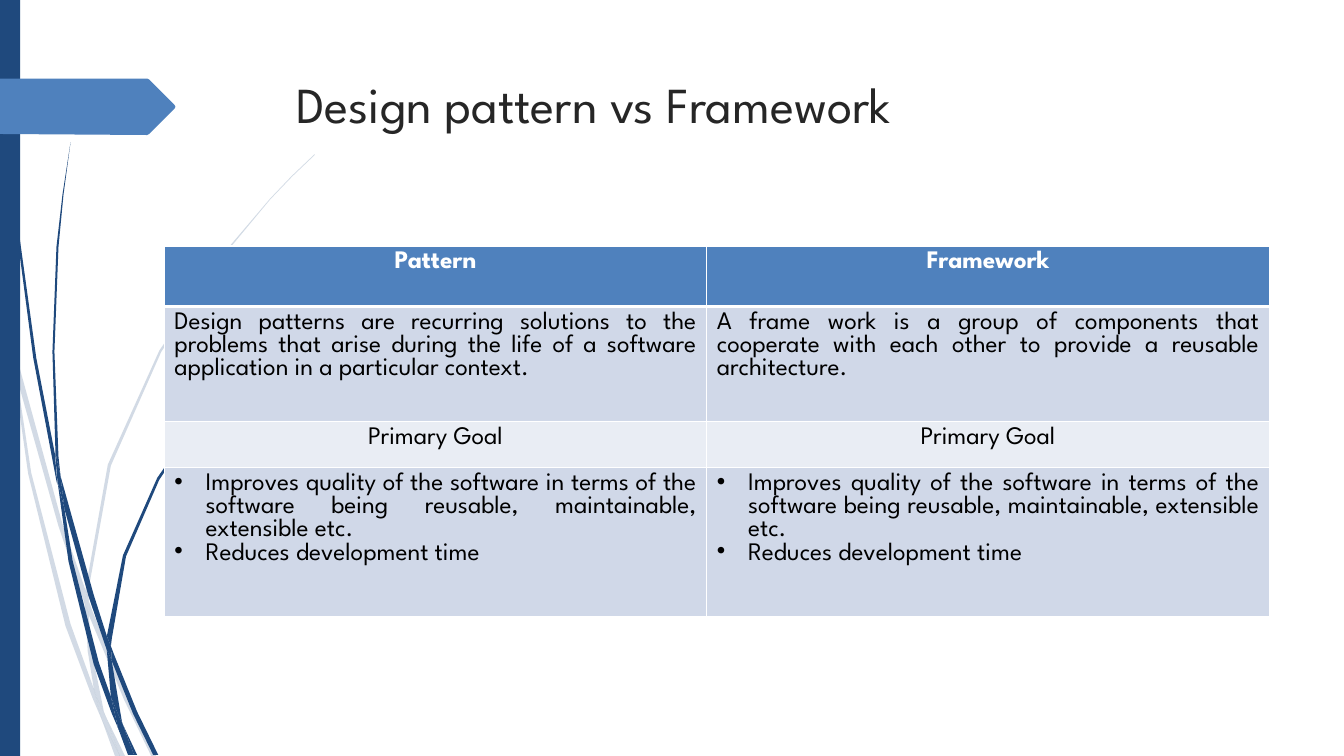
import pptx
import pptx.dml.color
import pptx.enum.shapes
import pptx.enum.text
import pptx.oxml
import pptx.oxml.ns
import pptx.util
from pptx.util import Inches

NAVY = pptx.dml.color.RGBColor(0x1F, 0x49, 0x7D)
BLUE = pptx.dml.color.RGBColor(0x4F, 0x81, 0xBD)
BAND_DARK = pptx.dml.color.RGBColor(0xD0, 0xD8, 0xE8)
BAND_LIGHT = pptx.dml.color.RGBColor(0xE9, 0xED, 0xF4)
WHITE = pptx.dml.color.RGBColor(0xFF, 0xFF, 0xFF)
BLACK = pptx.dml.color.RGBColor(0, 0, 0)
CHARCOAL = pptx.dml.color.RGBColor(0x26, 0x26, 0x26)
CENTER = pptx.enum.text.PP_ALIGN.CENTER
JUSTIFY = pptx.enum.text.PP_ALIGN.JUSTIFY

PALE_BLADES = [
    [(0.11, 3.5), (0.09, 3.22), (0, 2.82), (0, 2.99), (0.1, 3.44)],
    [(0.58, 5.22), (0.84, 5.99), (0.85, 5.86), (0.62, 5.2), (0.14, 3.45), (0.17, 3.76)],
    [(0.92, 6.07), (0.88, 5.96), (0.88, 6.1), (1.23, 6.94), (1.5, 7.5), (1.55, 7.5),
     (1.27, 6.92)],
    [(1.19, 7.5), (1.24, 7.5), (1.05, 7.11)],
    [(0.93, 6.83), (0.7, 6.19), (0.31, 4.69), (0.17, 3.76), (0.11, 3.5), (0.28, 4.7),
     (0.65, 6.21), (0.92, 6.93), (1.01, 7.14), (0.99, 7.07)],
    [(0.84, 5.99), (0.87, 6.46), (0.93, 6.83), (0.96, 6.92), (1.05, 7.11), (1.03, 7.06),
     (0.91, 6.46), (0.88, 6.1), (0.88, 6.08)],
    [(0.88, 5.84), (1.1, 4.62), (1.6, 3.49), (2.29, 2.45), (2.68, 1.98), (2.9, 1.75),
     (3.12, 1.54), (3.12, 1.53), (2.89, 1.75), (2.68, 1.97), (2.28, 2.44), (1.58, 3.48),
     (1.07, 4.61), (0.85, 5.84), (0.85, 5.86), (0.88, 5.96)],
    [(1.01, 7.14), (1.14, 7.5), (1.19, 7.5)],
    [(0.88, 6.08), (0.88, 6.1), (0.88, 5.96), (0.85, 5.86), (0.84, 5.99)],
    [(0.96, 6.92), (0.93, 6.83), (0.99, 7.07), (1.01, 7.14), (1.19, 7.5), (1.05, 7.11)],
]
NAVY_BLADES = [
    [(0.07, 1.1), (0.17, 2.33), (0.33, 3.55), (0.56, 4.77), (0.57, 4.81), (0.55, 4.57),
     (0.55, 4.53), (0.36, 3.55), (0.19, 2.32), (0.08, 1.09), (0.05, 0.48), (0.04, 0),
     (0.03, 0), (0.04, 0.48)],
    [(0.88, 5.92), (1.06, 6.45), (1.06, 6.33), (1.06, 6.31), (0.93, 5.9), (0.6, 4.72),
     (0.64, 5.05)],
    [(1.13, 6.49), (1.1, 6.41), (1.11, 6.56), (1.32, 7.08), (1.52, 7.49), (1.57, 7.49),
     (1.36, 7.06)],
    [(1.1, 6.91), (0.98, 6.57), (0.72, 5.56), (0.64, 5.05), (0.57, 4.77), (0.68, 5.57),
     (0.93, 6.59), (1.11, 7.08), (1.17, 7.22), (1.16, 7.17)],
    [(0.6, 4.72), (0.58, 4.53), (0.54, 3.49), (0.58, 2.45), (0.63, 1.93), (0.7, 1.41),
     (0.62, 1.93), (0.56, 2.45), (0.52, 3.49), (0.55, 4.49)],
    [(1.33, 7.49), (1.36, 7.49), (1.22, 7.19)],
    [(0.57, 4.77), (0.64, 5.05), (0.6, 4.72), (0.55, 4.49), (0.55, 4.53)],
    [(1.11, 6.33), (1.25, 5.52), (1.58, 4.76), (2.05, 4.06), (2.31, 3.74), (2.45, 3.59),
     (2.61, 3.44), (2.6, 3.44), (2.45, 3.58), (2.31, 3.73), (2.04, 4.05), (1.56, 4.74),
     (1.22, 5.51), (1.06, 6.31), (1.1, 6.41)],
    [(1.17, 7.22), (1.27, 7.49), (1.31, 7.49)],
    [(1.06, 6.45), (1.1, 6.91), (1.16, 7.06), (1.22, 7.19), (1.21, 7.16), (1.11, 6.56),
     (1.09, 6.51)],
    [(1.06, 6.45), (1.09, 6.51), (1.11, 6.56), (1.1, 6.41), (1.06, 6.31), (1.06, 6.33)],
    [(1.16, 7.06), (1.1, 6.91), (1.16, 7.17), (1.17, 7.22), (1.3, 7.49), (1.33, 7.49),
     (1.22, 7.19)],
]
ARROW_TAG = [(0, 0.78), (1.46, 0.78), (1.48, 0.79), (1.73, 1.04), (1.74, 1.06),
             (1.73, 1.08), (1.48, 1.33), (1.46, 1.34), (0, 1.33)]

GOALS = [
    "Improves quality of the software in terms of the software being reusable, "
    "maintainable, extensible etc.",
    "Reduces development time",
]
# Each row: height, fill, alignment, bulleted, paragraphs of each cell
ROWS = [
    (0.6, BLUE, CENTER, False, [["Pattern"], ["Framework"]]),
    (1.14, BAND_DARK, JUSTIFY, False, [
        ["Design patterns are recurring solutions to the problems that arise during "
         "the life of a software application in a particular context."],
        ["A frame work is a group of components that cooperate with each other to "
         "provide a reusable architecture."]]),
    (0.46, BAND_LIGHT, CENTER, False, [["Primary Goal"]] * 2),
    (1.48, BAND_DARK, JUSTIFY, True, [GOALS] * 2),
]


class SlidePainter:
    font = "League Spartan"
    body_size = 18
    title_size = 36

    def __init__(self, page):
        self.page = page

    def paint(self, shape, color, opacity=100):
        shape.shadow.inherit = False
        shape.fill.solid()
        shape.fill.fore_color.rgb = color
        shape.line.fill.background()
        if opacity < 100:
            color_node = shape.fill._xPr.find(".//" + pptx.oxml.ns.qn("a:srgbClr"))
            alpha = color_node.makeelement(pptx.oxml.ns.qn("a:alpha"),
                                           {"val": str(opacity * 1000)})
            color_node.append(alpha)

    def outline(self, points, color, opacity=100):
        corners = [(Inches(x), Inches(y)) for x, y in points]
        builder = self.page.shapes.build_freeform(*corners[0])
        builder.add_line_segments(corners[1:], close=True)
        self.paint(builder.convert_to_shape(), color, opacity)

    def bar(self, left, top, width, height, color):
        kind = pptx.enum.shapes.MSO_SHAPE.RECTANGLE
        shape = self.page.shapes.add_shape(
            kind, Inches(left), Inches(top), Inches(width), Inches(height))
        self.paint(shape, color)

    def style_text(self, paragraph, size, color, bold=False):
        paragraph.font.name = self.font
        paragraph.font.size = pptx.util.Pt(size)
        paragraph.font.color.rgb = color
        paragraph.font.bold = bold

    def title(self, text, left, top, width, height):
        box = self.page.shapes.add_textbox(
            Inches(left), Inches(top), Inches(width), Inches(height))
        box.text_frame.word_wrap = True
        box.text_frame.text = text
        self.style_text(box.text_frame.paragraphs[0], self.title_size, CHARCOAL)

    def borders(self, cell, bottom, top):
        properties = cell._tc.get_or_add_tcPr()
        for side, points in (("L", 1), ("R", 1), ("T", top), ("B", bottom)):
            properties.append(pptx.oxml.parse_xml(
                f'<a:ln{side} {pptx.oxml.ns.nsdecls("a")} w="{points * 12700}">'
                f'<a:solidFill><a:srgbClr val="{WHITE}"/></a:solidFill></a:ln{side}>'))

    def bullet(self, paragraph):
        properties = paragraph._p.get_or_add_pPr()
        properties.set("marL", str(Inches(0.31)))
        properties.set("indent", str(Inches(-0.31)))
        properties.append(pptx.oxml.parse_xml(
            f'<a:buChar {pptx.oxml.ns.nsdecls("a")} char="•"/>'))

    def table(self, left, top, widths, rows):
        height = sum(row[0] for row in rows)
        grid = self.page.shapes.add_table(
            len(rows), len(widths), Inches(left), Inches(top),
            Inches(sum(widths)), Inches(height)).table
        for column, width in zip(grid.columns, widths):
            column.width = Inches(width)
        for index, (height, color, align, bulleted, texts) in enumerate(rows):
            grid.rows[index].height = Inches(height)
            header = index == 0
            for cell, lines in zip(grid.rows[index].cells, texts):
                self.borders(cell, bottom=3 if header else 1, top=3 if index == 1 else 1)
                cell.fill.solid()
                cell.fill.fore_color.rgb = color
                cell.text_frame.text = "\n".join(lines)
                for paragraph in cell.text_frame.paragraphs:
                    paragraph.alignment = align
                    if bulleted:
                        self.bullet(paragraph)
                    self.style_text(paragraph, self.body_size,
                                    WHITE if header else BLACK, bold=header)


def main():
    deck = pptx.Presentation()
    deck.slide_width, deck.slide_height = Inches(13.33), Inches(7.5)
    painter = SlidePainter(deck.slides.add_slide(deck.slide_layouts[6]))
    for blade in PALE_BLADES:
        painter.outline(blade, NAVY, opacity=20)
    for blade in NAVY_BLADES:
        painter.outline(blade, NAVY)
    painter.bar(0, 0, 0.2, 7.5, NAVY)
    painter.outline(ARROW_TAG, BLUE)
    painter.table(1.63, 2.44, [5.38, 5.58], ROWS)
    painter.title("Design pattern vs Framework", 2.84, 0.68, 9.75, 1.4)
    deck.save("out.pptx")


if __name__ == "__main__":
    main()
